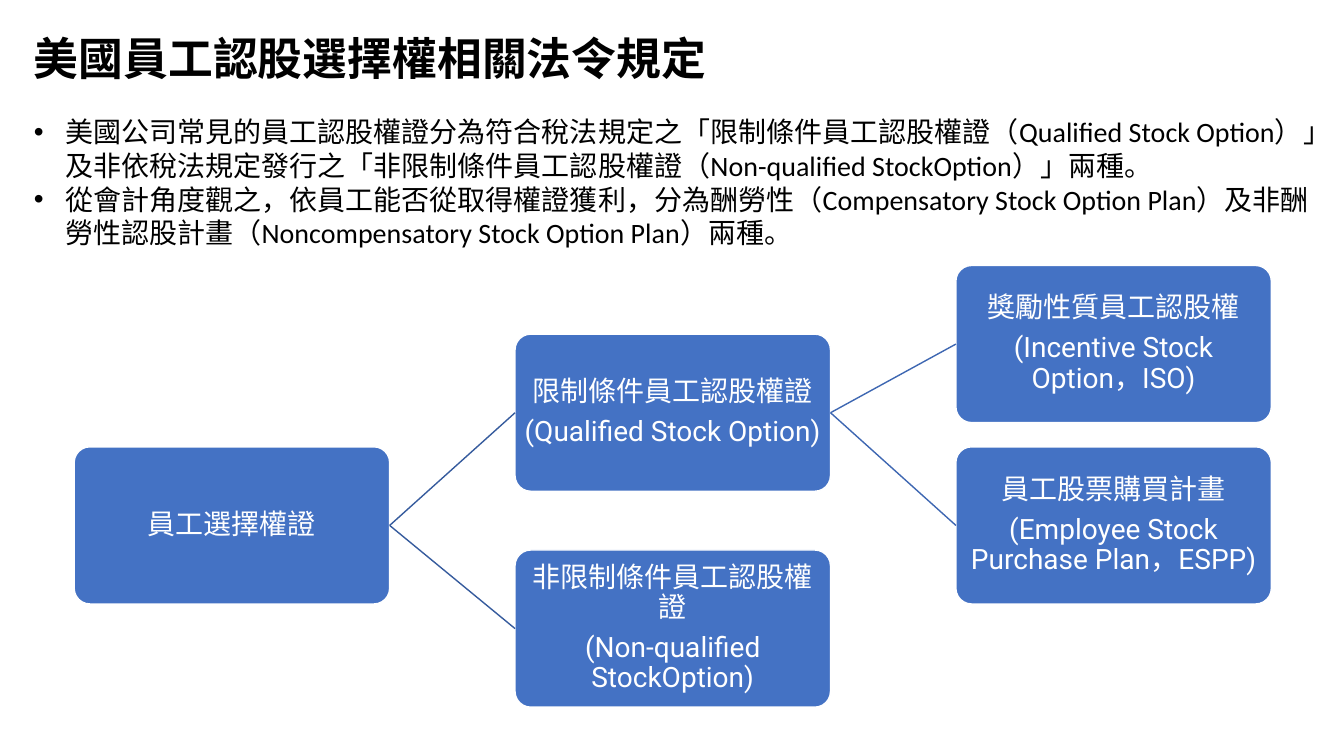
from lxml import etree
from pptx import Presentation
from pptx.dml.color import RGBColor
from pptx.enum.shapes import MSO_CONNECTOR, MSO_SHAPE
from pptx.enum.text import MSO_ANCHOR, MSO_AUTO_SIZE, PP_ALIGN
from pptx.oxml.ns import qn
from pptx.util import Cm, Pt

BLACK = RGBColor(0x00, 0x00, 0x00)
WHITE = RGBColor(0xFF, 0xFF, 0xFF)
BLUE = RGBColor(0x44, 0x72, 0xC4)
NAVY = RGBColor(0x36, 0x5B, 0x9D)
MID = RGBColor(0x3E, 0x67, 0xB2)

ROUND = MSO_SHAPE.ROUNDED_RECTANGLE
STRAIGHT = MSO_CONNECTOR.STRAIGHT
LEFT, CENTER = PP_ALIGN.LEFT, PP_ALIGN.CENTER
TOP, MIDDLE = MSO_ANCHOR.TOP, MSO_ANCHOR.MIDDLE
FIXED = MSO_AUTO_SIZE.NONE
LEFT_SIDE, RIGHT_SIDE = 1, 3

TITLE = "美國員工認股選擇權相關法令規定"
POINTS = [
    "美國公司常見的員工認股權證分為符合稅法規定之「限制條件員工認股權證"
    "（Qualified Stock Option）」及非依稅法規定發行之「非限制條件員工認股權證"
    "（Non-qualified StockOption）」兩種。",
    "從會計角度觀之，依員工能否從取得權證獲利，分為酬勞性"
    "（Compensatory Stock Option Plan）及非酬勞性認股計畫"
    "（Noncompensatory Stock Option Plan）兩種。",
]

# key: (level, top in cm below the tree's top edge, lines)
NODES = {
    "root": (0, 4.57, ["員工選擇權證"]),
    "qso": (1, 1.73, ["限制條件員工認股權證", "(Qualified Stock Option)"]),
    "iso": (2, 0, ["獎勵性質員工認股權", "(Incentive Stock Option，ISO)"]),
    "espp": (2, 4.57, ["員工股票購買計畫", "(Employee Stock Purchase Plan，ESPP)"]),
    "nso": (1, 7.17, ["非限制條件員工認股權證", "(Non-qualified StockOption)"]),
}
LINKS = [
    ("root", "qso", NAVY),
    ("root", "nso", NAVY),
    ("qso", "iso", MID),
    ("qso", "espp", MID),
]
STEP = 11.11
NODE_W, NODE_H = 7.95, 3.96


def place(shape, left, top, width, height):
    shape.left, shape.top = Cm(left), Cm(top)
    shape.width, shape.height = Cm(width), Cm(height)


def style(font, name, size, color, bold=False):
    font.name, font.size, font.bold = name, Pt(size), bold
    font.color.rgb = color


def add_title(slide, left, top, width, height):
    title = slide.shapes.title
    place(title, left, top, width, height)
    frame = title.text_frame
    frame.text = TITLE
    frame.word_wrap, frame.auto_size = False, FIXED
    frame.vertical_anchor = TOP
    para = frame.paragraphs[0]
    para.alignment = LEFT
    style(para.runs[0].font, "Roboto", 32, BLACK, True)


def add_points(slide, left, top, width, height):
    body = slide.placeholders[1]
    place(body, left, top, width, height)
    frame = body.text_frame
    frame.text = "\n".join(POINTS)
    frame.auto_size, frame.vertical_anchor = FIXED, TOP
    for para in frame.paragraphs:
        props = para._p.get_or_add_pPr()
        props.set("marL", str(Cm(0.79)))
        props.set("indent", str(-Cm(0.79)))
        etree.SubElement(props, qn("a:buFont")).set("typeface", "Arial")
        etree.SubElement(props, qn("a:buChar")).set("char", "•")
        para.space_before = Pt(0)
        style(para.runs[0].font, "Calibri", 20, BLACK)


def add_node(slide, left, top, lines):
    node = slide.shapes.add_shape(
        ROUND, Cm(left), Cm(top), Cm(NODE_W), Cm(NODE_H))
    node.adjustments[0] = 0.1
    node.shadow.inherit = False
    node.fill.solid()
    node.fill.fore_color.rgb = BLUE
    node.line.color.rgb = WHITE
    node.line.width = Pt(1)
    frame = node.text_frame
    frame.text = "\n".join(lines)
    frame.word_wrap, frame.vertical_anchor = True, MIDDLE
    frame.margin_left = frame.margin_right = Cm(0.03)
    frame.margin_top = frame.margin_bottom = Cm(0.03)
    for para in frame.paragraphs:
        para.alignment, para.line_spacing = CENTER, 0.9
        para.space_after = Pt(7)
        style(para.runs[0].font, "Roboto", 20, WHITE)
    return node


def add_link(slide, parent, child, color):
    link = slide.shapes.add_connector(STRAIGHT, 0, 0, 0, 0)
    link.begin_connect(parent, RIGHT_SIDE)
    link.end_connect(child, LEFT_SIDE)
    link.line.color.rgb = color
    link.line.width = Pt(1)
    etree.SubElement(link._element.spPr, qn("a:effectLst"))


def add_tree(slide, left, top):
    nodes = {
        key: add_node(slide, left + level * STEP, top + drop, lines)
        for key, (level, drop, lines) in NODES.items()
    }
    for parent, child, color in LINKS:
        add_link(slide, nodes[parent], nodes[child], color)


def main():
    deck = Presentation()
    deck.slide_width, deck.slide_height = Cm(33.87), Cm(19.05)
    slide = deck.slides.add_slide(deck.slide_layouts[1])
    add_title(slide, 0.6, 0.64, 17.6, 1.62)
    add_points(slide, 0.6, 2.77, 33.27, 3.68)
    add_tree(slide, 1.87, 6.69)
    deck.save("out.pptx")


if __name__ == "__main__":
    main()
